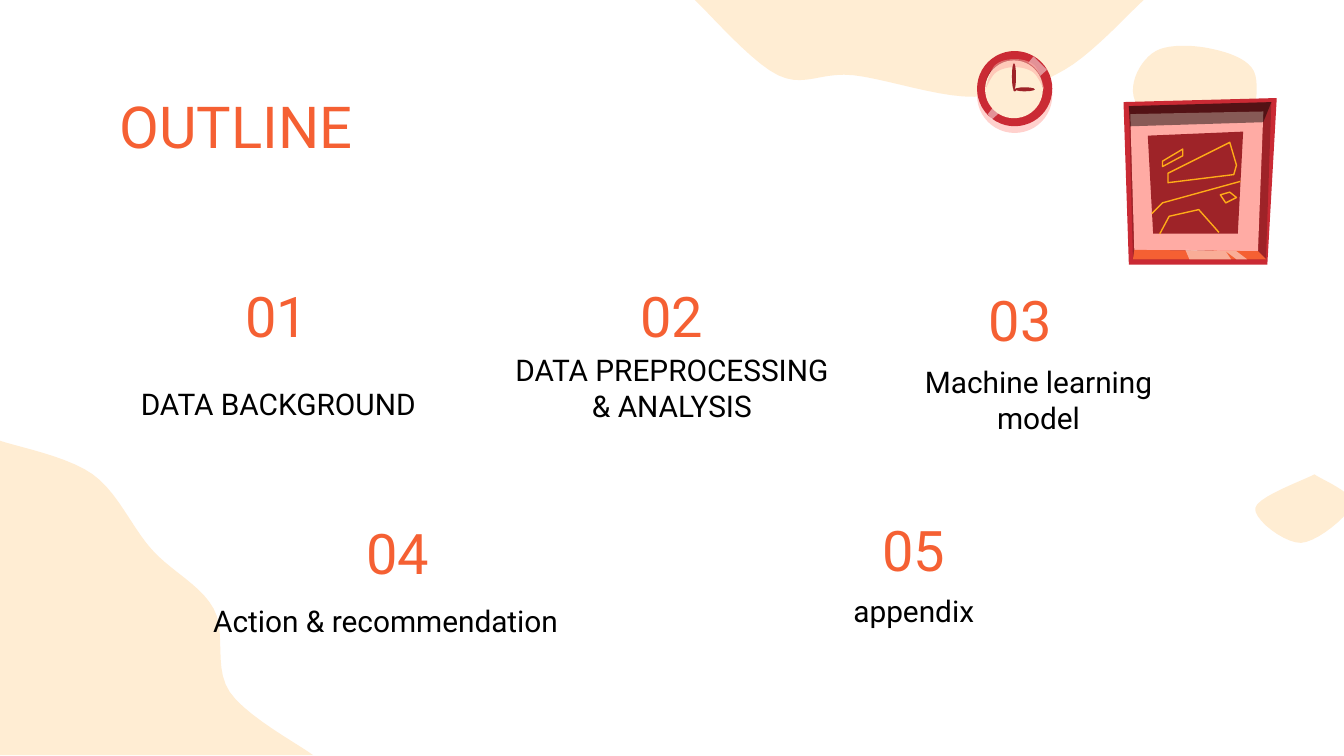
from pptx import Presentation, util as u
from pptx.dml.color import RGBColor
from pptx.enum import shapes, text
from pptx.oxml.ns import qn
from lxml import etree

ORANGE, CREAM, RED, DARK = "F56033", "FFEDD3", "CA2A34", "9E2328"
PINK, GOLD, WHITE, BLACK = "FFABA4", "FFAC18", "FFFFFF", "000000"
STEPS = 10
UNIT = u.Cm(0.0254)


def paint(sp, color, opacity=100):
    sp.shadow.inherit = False
    sp.line.fill.background()
    sp.fill.solid()
    sp.fill.fore_color.rgb = RGBColor.from_string(color)
    if opacity < 100:
        rgb = sp._element.spPr.find(qn("a:solidFill"))[0]
        etree.SubElement(rgb, qn("a:alpha")).set("val", str(opacity * 1000))


def outline(tree, pts, smooth=False, corners=(), close=True):
    if smooth:
        ends = [pts[0], *pts, pts[-1]]
        curve = [pts[0]]
        for a, b, c, d in zip(ends, ends[1:], ends[2:], ends[3:]):
            for i in range(1, STEPS + 1):
                t = i / STEPS
                curve.append([
                    q + (r - p) * t / 2 + (p - 2.5 * q + 2 * r - v / 2) * t ** 2
                    + (3 * q - p - 3 * r + v) * t ** 3 / 2
                    for p, q, r, v in zip(a, b, c, d)])
        pts = curve
    pts = [(x * UNIT, y * UNIT) for x, y in [*pts, *corners]]
    builder = tree.build_freeform(*pts[0], scale=1.0)
    builder.add_line_segments(pts[1:], close=close)
    return builder.convert_to_shape()


prs = Presentation()
prs.slide_width, prs.slide_height = u.Cm(25.4), u.Cm(14.29)
s = prs.slides.add_slide(prs.slide_layouts[5])

blobs = [
    ([(0, 328), (69, 353), (113, 409), (159, 453), (171, 515), (233, 562)], [(0, 562)]),
    ([(517, 0), (579, 56), (635, 56), (725, 72), (792, 52), (851, 0)], []),
    ([(862, 107), (843, 68), (860, 38), (900, 36), (933, 53), (929, 95), (906, 97)], []),
    ([(978, 353), (934, 378), (968, 404), (1006, 375), (978, 353)], []),
]
for pts, corners in blobs:
    paint(outline(s.shapes, pts, True, corners), CREAM)

number = dict(size=30, color=ORANGE, anchor="MIDDLE", align="CENTER")
label = dict(size=16, color=BLACK, anchor="TOP", align="CENTER")
heading = dict(size=31, color=ORANGE, anchor="MIDDLE", align="LEFT")
texts = [("OUTLINE", (2.01, 1.5, 21.41, 1.75), heading)]
topics = [
    ("DATA BACKGROUND", (3.78, 5.05), (2.01, 7.04, 6.5, 1.22)),
    ("DATA PREPROCESSING & ANALYSIS", (11.25, 5.05), (9.45, 6.4, 6.5, 1.22)),
    ("Machine learning model", (17.83, 5.11), (16.38, 6.63, 6.5, 2.06)),
    ("Action & recommendation", (6.07, 9.53), (1.83, 11.15, 10.92, 1.22)),
    ("appendix", (15.82, 9.47), (14.02, 10.95, 6.5, 1.22)),
]
for i, (topic, corner, box) in enumerate(topics, 1):
    texts += [(f"{i:02}", (*corner, 2.9, 1.83), number), (topic, box, label)]

for words, box, look in texts:
    box = [u.Cm(v) for v in box]
    sp = s.shapes.title if look is heading else s.shapes.add_textbox(*box)
    sp.left, sp.top, sp.width, sp.height = box
    tf = sp.text_frame
    frame = dict(word_wrap=True, auto_size=text.MSO_AUTO_SIZE.NONE,
                 vertical_anchor=text.MSO_ANCHOR[look["anchor"]])
    frame.update({f"margin_{side}": u.Cm(0.25) for side in ("left", "top", "right", "bottom")})
    for key, value in frame.items():
        setattr(tf, key, value)
    p = tf.paragraphs[0]
    p.alignment = text.PP_ALIGN[look["align"]]
    r = p.add_run()
    r.text = words
    for key, value in dict(name="Roboto", size=u.Pt(look["size"])).items():
        setattr(r.font, key, value)
    r.font.color.rgb = RGBColor.from_string(look["color"])

painting = s.shapes.add_group_shape().shapes
inner = [(840, 79), (946, 76), (942, 193), (843, 193)]
mat = [(841, 85), (940, 83), (936, 187), (844, 186)]
panels = [
    ([(836, 76), (950, 73), (943, 197), (840, 197)], RED),
    (inner, DARK),
    (mat, PINK),
    (inner[2:] + mat[:1:-1], ORANGE),
    (inner[:2] + [(940, 91), (841, 94)], BLACK, 47),
    ([(854, 101), (925, 98), (921, 174), (858, 174)], DARK),
    ([(882, 186), (912, 187), (916, 193), (885, 193)], WHITE, 49),
    ([(912, 187), (920, 187), (928, 193), (920, 193)], WHITE, 49),
]
for pts, *fill in panels:
    paint(outline(painting, pts), *fill)
strokes = [
    ([(857, 159), (865, 151), (923, 135)], False),
    ([(863, 174), (870, 161), (892, 156), (907, 173)], False),
    ([(869, 136), (869, 129), (915, 106), (920, 123), (918, 130)], True),
    ([(865, 124), (865, 120), (880, 111), (880, 116)], True),
    ([(912, 151), (908, 145), (915, 143), (920, 147)], True),
]
for pts, close in strokes:
    sp = outline(painting, pts, close=close)
    paint(sp, GOLD)
    sp.fill.background()
    sp.line.color.rgb = RGBColor.from_string(GOLD)
    sp.line.width = u.Pt(0.75)

clock = s.shapes.add_group_shape().shapes
half = [(733, 67), (740, 49), (755, 44)]
rim = [(755, 50), (741, 54), (733, 67)]
crescent = half + [(1510 - x, y) for x, y in half[1::-1] + rim[1:0:-1]] + rim
parts = [
    ((727, 43, 56, 56), PINK, 54),
    ((727, 38, 56, 56), RED),
    ([(769, 42), (735, 85), (738, 89), (779, 52)], WHITE, 49),
    ((733, 44, 43, 43), DARK),
    ((733, 45, 43, 43), CREAM),
    (crescent, PINK, 54),
    ((754, 66, 2, 2), DARK),
    ((753, 47, 3, 20), DARK),
    ((755, 65, 15, 3), DARK),
]
for form, *fill in parts:
    if isinstance(form, tuple):
        sp = clock.add_shape(shapes.MSO_SHAPE.OVAL, *[v * UNIT for v in form])
    else:
        sp = outline(clock, form, form is crescent)
    paint(sp, *fill)

prs.save("out.pptx")
